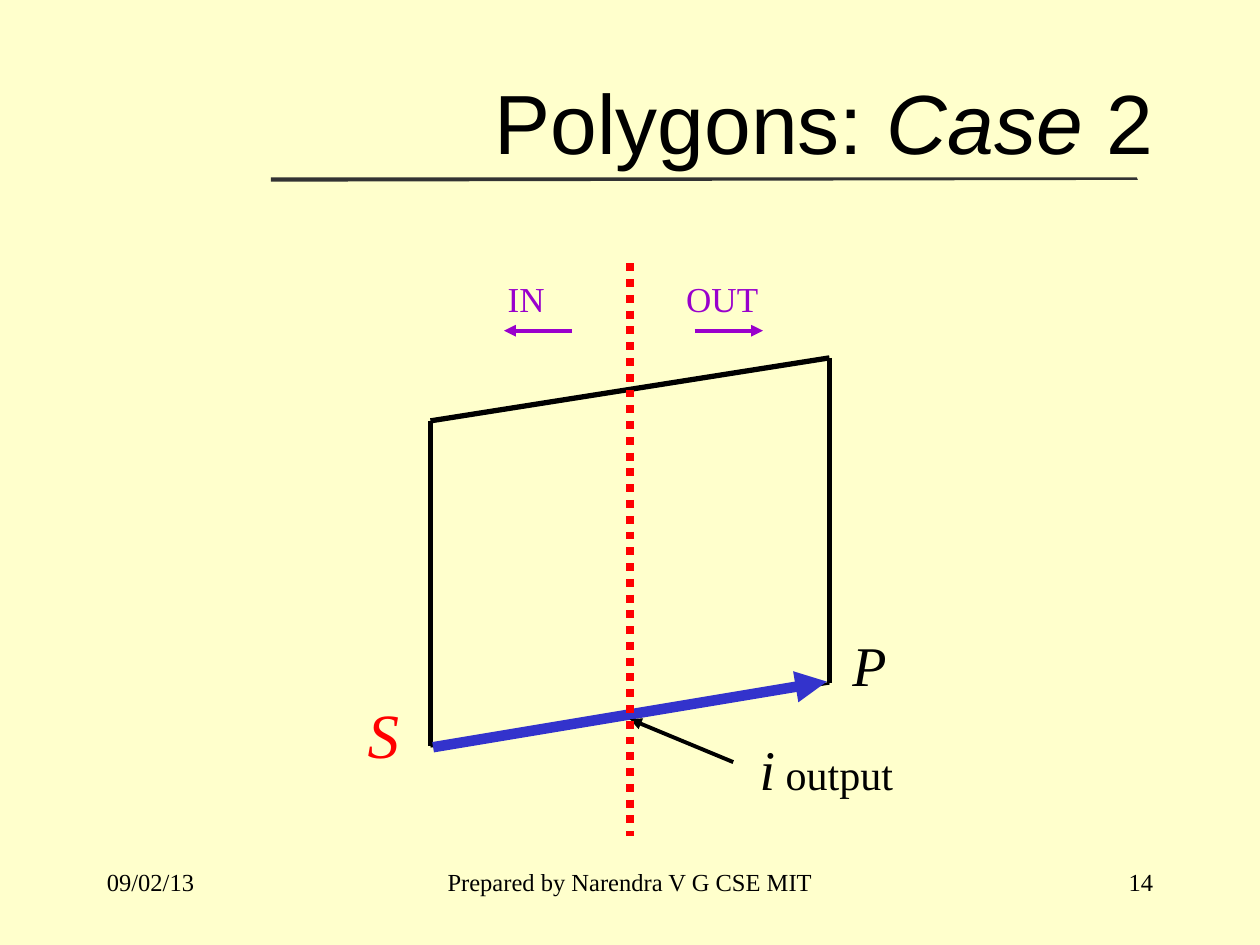
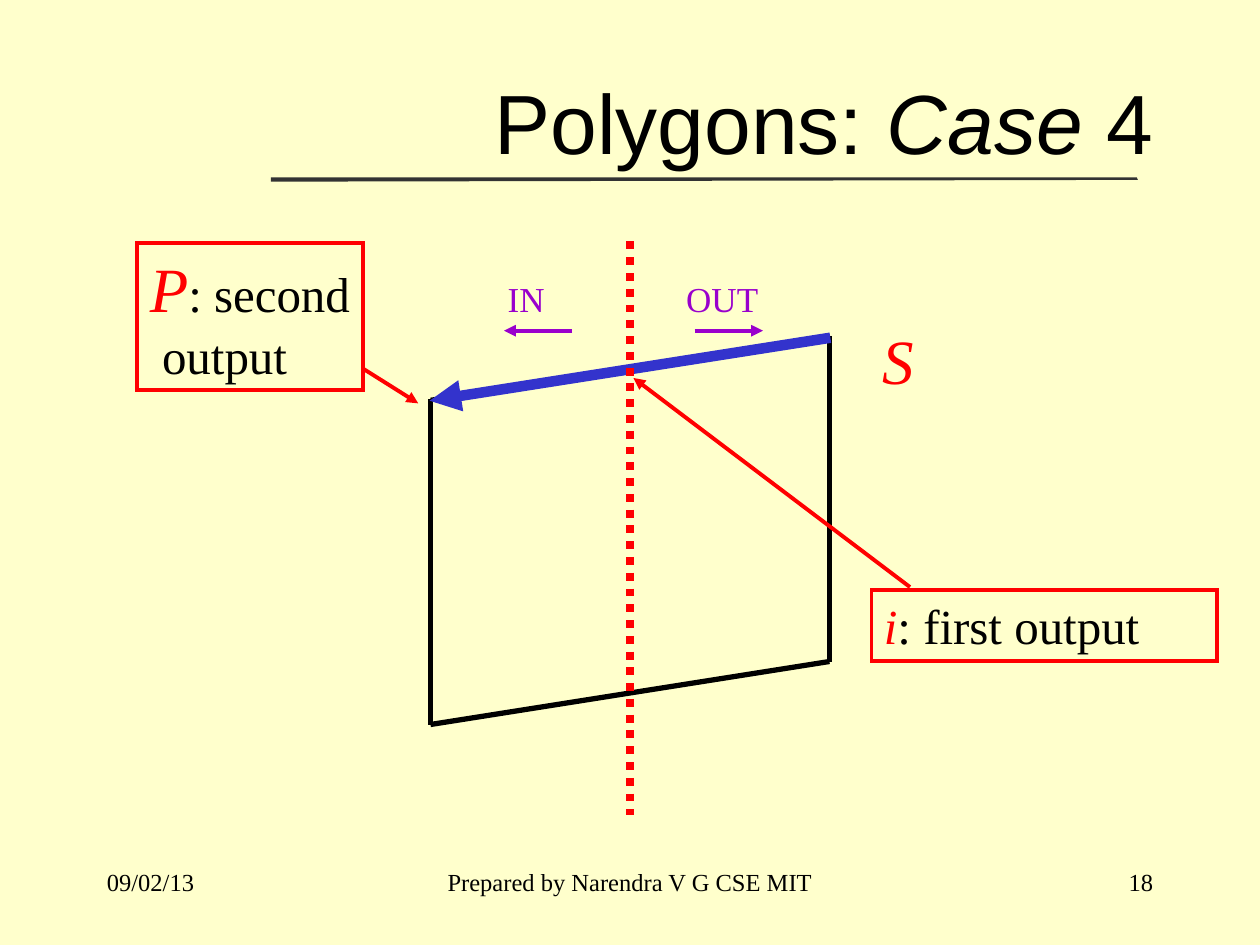
from pptx import Presentation
from pptx.dml.color import RGBColor
from pptx.enum.dml import MSO_LINE
from pptx.enum.shapes import MSO_CONNECTOR, MSO_SHAPE
from pptx.enum.text import MSO_ANCHOR, MSO_AUTO_SIZE, PP_ALIGN
from pptx.oxml.ns import qn
from pptx.util import Pt
from lxml.etree import SubElement

COLORS = {
    "background": "FFFFCC",
    "black": "000000",
    "rule": "333333",
    "red": "FF0000",
    "blue": "3333CC",
    "purple": "9900CC",
}
TITLE_FONT = "Arial"
BODY_FONT = "Times New Roman"

POLYGON_LEFT, POLYGON_RIGHT = 246, 474
POLYGON_HEIGHT = 186
POLYGON_RISE = 36
CLIP_X = 360


def color(name):
    return RGBColor.from_string(COLORS[name])


def add_runs(paragraph, runs, font_name=BODY_FONT):
    """Add runs given as (text, size, color name, italic)."""
    for text, size, color_name, italic in runs:
        run = paragraph.add_run()
        run.text = text
        run.font.name = font_name
        run.font.size = Pt(size)
        run.font.italic = italic
        run.font.color.rgb = color(color_name)


def add_label(slide, left, top, width, height, runs):
    """Add a one-line text box that fits its text."""
    box = slide.shapes.add_textbox(Pt(left), Pt(top), Pt(width), Pt(height))
    text_frame = box.text_frame
    text_frame.word_wrap = False
    text_frame.auto_size = MSO_AUTO_SIZE.SHAPE_TO_FIT_TEXT
    add_runs(text_frame.paragraphs[0], runs)


def add_callout(slide, left, top, width, height, lines, wrap):
    """Add a red frame; lines are (left margin, runs) pairs."""
    shape = slide.shapes.add_shape(MSO_SHAPE.RECTANGLE, Pt(left), Pt(top), Pt(width), Pt(height))
    shape.shadow.inherit = False
    shape.fill.background()
    shape.line.color.rgb = color("red")
    shape.line.width = Pt(2.25)
    SubElement(shape.line._ln, qn("a:miter"), lim="800000")
    text_frame = shape.text_frame
    text_frame.word_wrap = wrap
    text_frame.auto_size = MSO_AUTO_SIZE.SHAPE_TO_FIT_TEXT
    text_frame.vertical_anchor = MSO_ANCHOR.TOP
    for index, (margin, runs) in enumerate(lines):
        paragraph = text_frame.add_paragraph() if index else text_frame.paragraphs[0]
        paragraph.alignment = PP_ALIGN.LEFT
        if margin:
            paragraph._p.get_or_add_pPr().set("marL", str(Pt(margin)))
        add_runs(paragraph, runs)


def add_line(slide, start, end, color_name, width, arrow=False, dotted=False):
    connector = slide.shapes.add_connector(
        MSO_CONNECTOR.STRAIGHT, *(Pt(value) for value in (*start, *end)))
    connector.line.color.rgb = color(color_name)
    connector.line.width = Pt(width)
    if dotted:
        connector.line.dash_style = MSO_LINE.ROUND_DOT
    if arrow:
        SubElement(connector.line._ln, qn("a:tailEnd"), type="triangle")
    SubElement(connector._element.spPr, qn("a:effectLst"))


def add_title(slide, case_number, left):
    title = slide.shapes.title
    title.left, title.top, title.width, title.height = Pt(left), Pt(24), Pt(666 - left), Pt(90)
    text_frame = title.text_frame
    text_frame.auto_size = MSO_AUTO_SIZE.NONE
    text_frame.vertical_anchor = MSO_ANCHOR.MIDDLE
    paragraph = text_frame.paragraphs[0]
    paragraph.alignment = PP_ALIGN.RIGHT
    add_runs(paragraph, [
        ("Polygons: ", 48, "black", False),
        ("Case", 48, "black", True),
        (f" {case_number}", 48, "black", False),
    ], TITLE_FONT)


def add_title_rule(slide):
    """Draw the rule under the title, tapering to the right."""
    builder = slide.shapes.build_freeform(Pt(154.8), Pt(101.4))
    corners = [(649.6, 101.4), (650.2, 102.8), (154.8, 103.8)]
    builder.add_line_segments([(Pt(x), Pt(y)) for x, y in corners])
    rule = builder.convert_to_shape()
    rule.shadow.inherit = False
    rule.fill.solid()
    rule.fill.fore_color.rgb = color("rule")
    rule.line.fill.background()


def add_footer(slide, slide_number):
    footers = [
        ("09/02/13", 54, 150, PP_ALIGN.LEFT),
        ("Prepared by Narendra V G CSE MIT", 246, 228, PP_ALIGN.CENTER),
        (str(slide_number), 516, 150, PP_ALIGN.RIGHT),
    ]
    for text, left, width, alignment in footers:
        box = slide.shapes.add_textbox(Pt(left), Pt(492), Pt(width), Pt(36))
        box.text_frame.word_wrap = True
        paragraph = box.text_frame.paragraphs[0]
        paragraph.alignment = alignment
        add_runs(paragraph, [(text, 14, "black", False)])


def add_polygon(slide, top, traversed):
    """Draw the polygon; the traversed edge, "top" or "bottom", is thinner."""
    top_left = (POLYGON_LEFT, top)
    top_right = (POLYGON_RIGHT, top - POLYGON_RISE)
    bottom_left = (POLYGON_LEFT, top + POLYGON_HEIGHT)
    bottom_right = (POLYGON_RIGHT, top - POLYGON_RISE + POLYGON_HEIGHT)
    add_line(slide, top_left, bottom_left, "black", 3)
    add_line(slide, top_left, top_right, "black", 1.5 if traversed == "top" else 3)
    add_line(slide, bottom_left, bottom_right, "black", 1.5 if traversed == "bottom" else 3)
    add_line(slide, top_right, bottom_right, "black", 3)


def add_clip_boundary(slide, polygon_top):
    """Draw the dotted boundary and mark its inner and outer sides."""
    start = polygon_top - 90
    add_line(slide, (CLIP_X, start), (CLIP_X, start + 327.5), "red", 4.5, dotted=True)
    sides = [("IN", 283, 37, 327, 288), ("OUT", 385, 57, 397, 436)]
    for text, left, width, arrow_start, arrow_end in sides:
        add_label(slide, left, 155, width, 32, [(text, 20, "purple", False)])
        add_line(slide, (arrow_start, 189), (arrow_end, 189), "purple", 2.25, arrow=True)


def add_case_slide(presentation, case_number, slide_number, title_left):
    slide = presentation.slides.add_slide(presentation.slide_layouts[5])
    slide.background.fill.solid()
    slide.background.fill.fore_color.rgb = color("background")
    add_title_rule(slide)
    add_footer(slide, slide_number)
    add_title(slide, case_number, title_left)
    return slide


def add_leaving_case(presentation):
    slide = add_case_slide(presentation, 2, 14, 38)
    polygon_top = 240.5
    add_polygon(slide, polygon_top, "bottom")
    add_line(slide, (247.5, 427), (472.5, 389.5), "blue", 6, arrow=True)
    add_label(slide, 203, 394, 33, 50, [("S", 36, "red", True)])
    add_label(slide, 427, 416, 91, 46,
              [("i", 32, "black", True), (" output", 24, "black", False)])
    add_label(slide, 480, 356.5, 34, 46, [("P", 32, "black", True)])
    add_line(slide, (419, 435.5), (360, 411), "black", 2.25, arrow=True)
    add_clip_boundary(slide, polygon_top)


def add_entering_case(presentation):
    slide = add_case_slide(presentation, 4, 18, 54)
    polygon_top = 228
    add_polygon(slide, polygon_top, "top")
    add_line(slide, (474.5, 193), (245.5, 229), "blue", 6, arrow=True)
    add_callout(slide, 78.5, 139, 129, 84, [
        (0, [("P", 36, "red", True), (": second", 28, "black", False)]),
        (7, [("output", 28, "black", False)]),
    ], wrap=False)
    add_callout(slide, 498, 337, 197.5, 41, [
        (0, [("i", 28, "red", True), (": first output", 28, "black", False)]),
    ], wrap=True)
    add_line(slide, (208, 211), (239, 230.5), "red", 2.25, arrow=True)
    add_line(slide, (520, 335.5), (362, 216), "red", 2.25, arrow=True)
    add_label(slide, 497, 180, 33, 50, [("S", 36, "red", True)])
    add_clip_boundary(slide, polygon_top)


def main():
    presentation = Presentation()
    presentation.slide_width, presentation.slide_height = Pt(720), Pt(540)
    add_leaving_case(presentation)
    add_entering_case(presentation)
    presentation.save("out.pptx")


if __name__ == "__main__":
    main()
